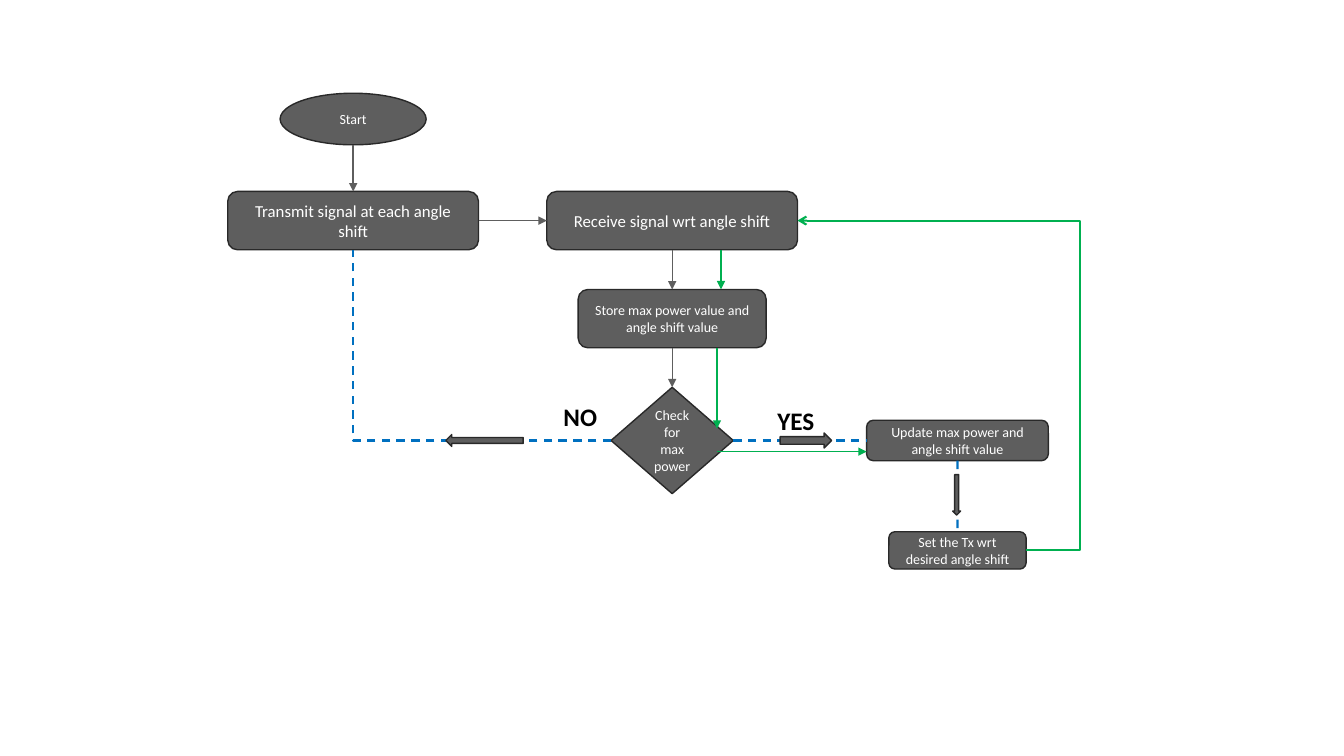
from dataclasses import dataclass
from typing import Optional

from lxml import etree
from pptx import Presentation
from pptx.dml.color import RGBColor
from pptx.enum import dml, shapes, text
from pptx.oxml import ns
from pptx.util import Cm, Pt

FONT = "Calibri"
GREY, OUTLINE, GREEN, BLUE = "5E5E5E", "292929", "00B050", "0070C0"
WHITE, BLACK = "FFFFFF", "000000"
LEFT, MIDDLE, RIGHT = 8.9, 16.94, 24.13  # column centres, cm
SIGNAL_ROW, STORE_ROW, CHECK_ROW, SET_ROW = 5.56, 8.03, 11.1, 13.87  # row centres, cm
TOP_SIDE, LEFT_SIDE, BOTTOM_SIDE, RIGHT_SIDE = range(4)
STRAIGHT, ELBOW = shapes.MSO_CONNECTOR.STRAIGHT, shapes.MSO_CONNECTOR.ELBOW
Kind = shapes.MSO_SHAPE


@dataclass
class Node:
    """A filled shape placed by its centre, in cm."""
    key: str
    kind: Kind
    x: float
    y: float
    width: float
    height: float
    words: str = ""
    size: int = 10


@dataclass
class Link:
    """A connector joined to the sides of two nodes."""
    start: str
    start_side: int
    end: str
    end_side: int
    colour: str = GREY
    width: float = 1
    dashed: bool = False
    head: Optional[str] = "triangle"
    kind: shapes.MSO_CONNECTOR = STRAIGHT


@dataclass
class Label:
    words: str
    left: float
    top: float
    width: float


STEPS = [
    Node("start", Kind.OVAL, LEFT, 3.0, 3.68, 1.3, "Start"),
    Node("receive", Kind.ROUNDED_RECTANGLE, MIDDLE, SIGNAL_ROW, 6.32, 1.47,
         "Receive signal wrt angle shift", 12),
    Node("transmit", Kind.ROUNDED_RECTANGLE, LEFT, SIGNAL_ROW, 6.32, 1.47,
         "Transmit signal at each angle shift", 12),
    Node("check", Kind.DIAMOND, MIDDLE, CHECK_ROW, 3.08, 2.68, "Check for max power"),
    Node("store", Kind.ROUNDED_RECTANGLE, MIDDLE, STORE_ROW, 4.74, 1.47,
         "Store max power value and angle shift value"),
    Node("update", Kind.ROUNDED_RECTANGLE, RIGHT, CHECK_ROW, 4.58, 1.02,
         "Update max power and angle shift value"),
    Node("set", Kind.ROUNDED_RECTANGLE, RIGHT, SET_ROW, 3.46, 0.94,
         "Set the Tx wrt desired angle shift"),
]
BLOCK_ARROWS = [
    Node("no arrow", Kind.LEFT_ARROW, 12.21, CHECK_ROW, 1.95, 0.3),
    Node("yes arrow", Kind.RIGHT_ARROW, 20.31, CHECK_ROW, 1.3, 0.38),
    Node("set arrow", Kind.DOWN_ARROW, 24.11, 12.47, 0.2, 1.02),
]
LINKS = [
    Link("transmit", RIGHT_SIDE, "receive", LEFT_SIDE),
    Link("receive", BOTTOM_SIDE, "store", TOP_SIDE),
    Link("store", BOTTOM_SIDE, "check", TOP_SIDE),
    Link("check", RIGHT_SIDE, "update", LEFT_SIDE, BLUE, 1.5, True, None),
    Link("update", BOTTOM_SIDE, "set", TOP_SIDE, BLUE, 1.5, True, None),
]
NO_LINK = Link("check", LEFT_SIDE, "transmit", BOTTOM_SIDE, BLUE, 1.5, True, None, ELBOW)
FEEDBACK = Link("set", RIGHT_SIDE, "receive", RIGHT_SIDE, GREEN, 1.5, False, "arrow", ELBOW)
GREEN_ARROWS = [
    (18.17, 6.3, 18.17, 7.29),
    (18.07, 8.76, 18.07, 10.8),
    (18.07, 11.38, 21.84, 11.38),
]
LABELS = [Label("YES", 19.34, 10.08, 1.65), Label("NO", 13.95, 9.98, 1.45)]


def rgb(colour: str) -> RGBColor:
    return RGBColor.from_string(colour)


def write(frame, words: str, size: int, colour: str, bold: bool = False) -> None:
    paragraph = frame.paragraphs[0]
    paragraph.text = words
    font = paragraph.font
    font.name, font.size, font.bold = FONT, Pt(size), bold
    font.color.rgb = rgb(colour)


def draw_node(slide, node: Node):
    shape = slide.shapes.add_shape(
        node.kind, Cm(node.x - node.width / 2), Cm(node.y - node.height / 2),
        Cm(node.width), Cm(node.height))
    shape.shadow.inherit = False
    shape.fill.solid()
    shape.fill.fore_color.rgb = rgb(GREY)
    shape.line.color.rgb = rgb(OUTLINE)
    shape.line.width = Pt(1)
    if node.words:
        frame = shape.text_frame
        frame.word_wrap = True
        frame.vertical_anchor = text.MSO_ANCHOR.MIDDLE
        write(frame, node.words, node.size, WHITE)
        frame.paragraphs[0].alignment = text.PP_ALIGN.CENTER
    return shape


def style_connector(connector, colour: str, width: float, dashed: bool,
                    head: Optional[str]) -> None:
    line = connector.line
    line.color.rgb = rgb(colour)
    line.width = Pt(width)
    if dashed:
        line.dash_style = dml.MSO_LINE.DASH
    properties = connector._element.spPr
    if head:
        etree.SubElement(properties.find(ns.qn("a:ln")), ns.qn("a:tailEnd"), type=head)
    etree.SubElement(properties, ns.qn("a:effectLst"))


def draw_link(slide, steps: dict, link: Link):
    connector = slide.shapes.add_connector(link.kind, 0, 0, 0, 0)
    connector.begin_connect(steps[link.start], link.start_side)
    connector.end_connect(steps[link.end], link.end_side)
    style_connector(connector, link.colour, link.width, link.dashed, link.head)
    return connector


def draw_arrow(slide, ends: tuple, colour: str):
    connector = slide.shapes.add_connector(STRAIGHT, *map(Cm, ends))
    style_connector(connector, colour, 1, False, "triangle")
    return connector


def shape_elbow(connector, preset: str, bend: Optional[int] = None) -> None:
    """Choose the elbow preset and, in 1/100000 of its width, where it bends."""
    geometry = connector._element.spPr.find(ns.qn("a:prstGeom"))
    geometry.set("prst", preset)
    if bend is not None:
        guides = geometry.find(ns.qn("a:avLst"))
        etree.SubElement(guides, ns.qn("a:gd"), name="adj1", fmla=f"val {bend}")


def draw_label(slide, label: Label) -> None:
    box = slide.shapes.add_textbox(Cm(label.left), Cm(label.top), Cm(label.width), Cm(1.02))
    box.text_frame.word_wrap = True
    write(box.text_frame, label.words, 18, BLACK, bold=True)


def main() -> None:
    presentation = Presentation()
    presentation.slide_width, presentation.slide_height = Cm(33.87), Cm(19.05)
    slide = presentation.slides.add_slide(presentation.slide_layouts[6])

    steps = {node.key: draw_node(slide, node) for node in STEPS}
    shape_elbow(draw_link(slide, steps, FEEDBACK), "bentConnector3", -23700)
    shape_elbow(draw_link(slide, steps, NO_LINK), "bentConnector2")
    for link in LINKS:
        draw_link(slide, steps, link)
    start_arrow = draw_arrow(slide, (LEFT, 3.65, LEFT, 4.83), GREY)
    start_arrow.end_connect(steps["transmit"], TOP_SIDE)
    for ends in GREEN_ARROWS:
        draw_arrow(slide, ends, GREEN)
    for arrow in BLOCK_ARROWS:
        draw_node(slide, arrow)
    for label in LABELS:
        draw_label(slide, label)

    presentation.save("out.pptx")


if __name__ == "__main__":
    main()
